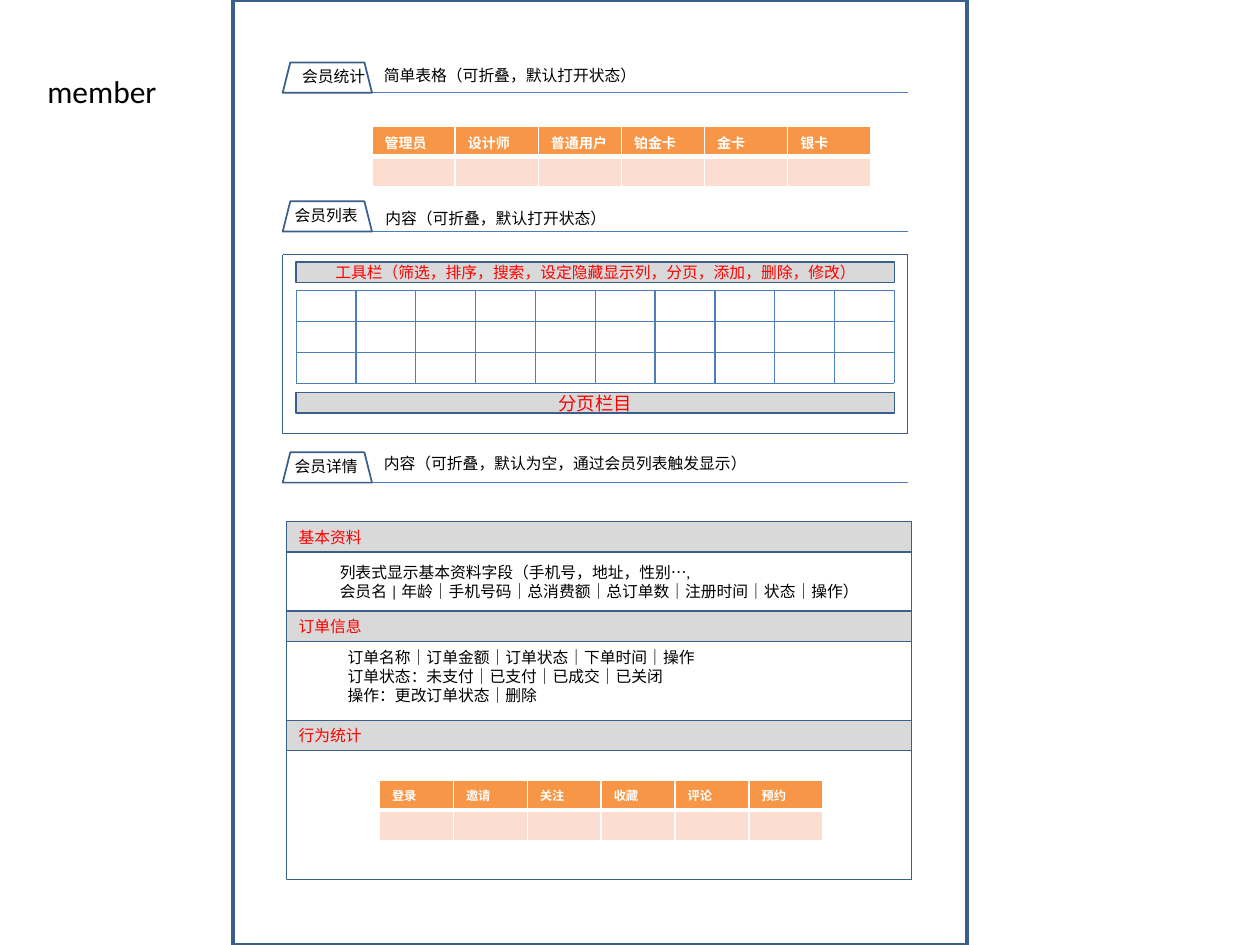
from lxml.etree import SubElement
from pptx import Presentation
from pptx.dml.color import RGBColor
from pptx.enum.dml import MSO_LINE
from pptx.enum.shapes import MSO_CONNECTOR, MSO_SHAPE
from pptx.enum.text import MSO_ANCHOR, PP_ALIGN
from pptx.oxml.ns import qn
from pptx.util import Cm, Pt

# Content; lengths are centimetres
TITLE = "member"
# tab label, label left, baseline y, note, note left, note top, note width
HEADINGS = [
    ("会员统计", 5.84, 1.87, "简单表格（可折叠，默认打开状态）", 7.49, 1.2, 6.4),
    ("会员列表", 5.69, 4.67, "内容（可折叠，默认打开状态）", 7.52, 4.09, 5.1),
    ("会员详情", 5.69, 9.73, "内容（可折叠，默认为空，通过会员列表触发显示）", 7.49, 9.02, 8.4),
]
# headers, left, top, width, text size
STATISTICS = [
    (["管理员", "设计师", "普通用户", "铂金卡", "金卡", "银卡"], 7.5, 2.54, 10.06, 8),
    (["登录", "邀请", "关注", "收藏", "评论", "预约"], 7.65, 15.72, 8.94, 7),
]
# text, top, size
LIST_BARS = [
    ("工具栏（筛选，排序，搜索，设定隐藏显示列，分页，添加，删除，修改）", 5.28, 9),
    ("分页栏目", 7.92, 10.5),
]
DETAIL_BARS = [("基本资料", 10.52), ("订单信息", 12.32), ("行为统计", 14.52)]
DETAIL_TEXTS = [
    (["列表式显示基本资料字段（手机号，地址，性别…,",
      "会员名 | 年龄｜手机号码｜总消费额｜总订单数｜注册时间｜状态｜操作）"],
     6.6, 11.22, 11.7, 1.02),
    (["订单名称｜订单金额｜订单状态｜下单时间｜操作",
      "订单状态：未支付｜已支付｜已成交｜已关闭",
      "操作：更改订单状态｜删除"], 6.76, 12.93, 11.25, 1.42),
]
LEFT, WIDTH, BAND = 5.7, 12.6, 0.61
TAB_WIDTH = 1.8
GRID_LEFT, GRID_TOP, GRID_WIDTH, GRID_HEIGHT = 5.97, 5.85, 12.06, 1.88
GRID_COLUMNS, GRID_ROWS = 10, 3
DETAIL_LEFT = 5.77
OUTLINE, RULE, GREY, RED, BLACK = "3A5F8C", "4B7EBC", "D9D9D9", "FF0000", "000000"
ORANGE, PINK, WHITE = "F79646", "FCDDCF", "FFFFFF"


def rgb(value):
    return RGBColor.from_string(value)


def write(frame, lines, size, color=BLACK, align=PP_ALIGN.LEFT, bold=False):
    frame.text = "\n".join(lines)
    for paragraph in frame.paragraphs:
        paragraph.alignment = align
        for run in paragraph.runs:
            run.font.color.rgb = rgb(color)
            for key, value in {"name": "Calibri", "size": Pt(size), "bold": bold}.items():
                setattr(run.font, key, value)


def add_outline(kind, left, top, width, height, weight, fill=None, dash=None):
    outline = slide.shapes.add_shape(kind, Cm(left), Cm(top), Cm(width), Cm(height))
    outline.shadow.inherit = False
    if fill:
        outline.fill.solid()
        outline.fill.fore_color.rgb = rgb(fill)
    else:
        outline.fill.background()
    outline.line.color.rgb = rgb(OUTLINE)
    outline.line.width = Pt(weight)
    if dash:
        outline.line.dash_style = dash
    return outline


def add_bar(text, left, top, width, height, size, align):
    bar = add_outline(MSO_SHAPE.RECTANGLE, left, top, width, height, 0.75, GREY)
    bar.text_frame.vertical_anchor = MSO_ANCHOR.MIDDLE
    write(bar.text_frame, [text], size, RED, align)


def add_rule(x1, y1, x2, y2):
    rule = slide.shapes.add_connector(MSO_CONNECTOR.STRAIGHT, Cm(x1), Cm(y1), Cm(x2), Cm(y2))
    rule.line.color.rgb = rgb(RULE)
    rule.line.width = Pt(0.75)
    SubElement(rule._element.spPr, qn("a:effectLst"))


def add_text(lines, left, top, width, height=0.64):
    frame = slide.shapes.add_textbox(Cm(left), Cm(top), Cm(width), Cm(height)).text_frame
    frame.word_wrap = True
    write(frame, lines, 9)


def add_border(cell, side, weight):
    border = SubElement(cell._tc.get_or_add_tcPr(), qn(side), w=str(Pt(weight)))
    SubElement(SubElement(border, qn("a:solidFill")), qn("a:srgbClr"), val=WHITE)


def add_statistics(headers, left, top, width, size):
    table = slide.shapes.add_table(2, len(headers), Cm(left), Cm(top),
                                   Cm(width), Cm(2 * BAND)).table
    for column, header in enumerate(headers):
        rows = [(header, ORANGE, "a:lnB"), ("", PINK, "a:lnT")]
        for row, (text, fill, divider) in enumerate(rows):
            cell = table.cell(row, column)
            add_border(cell, divider, 3)
            cell.fill.solid()
            cell.fill.fore_color.rgb = rgb(fill)
            write(cell.text_frame, [text], size, WHITE, bold=True)
            # Keeps the empty row as low as the header row
            SubElement(cell.text_frame.paragraphs[0]._p, qn("a:endParaRPr"), sz=str(size * 100))


presentation = Presentation()
presentation.slide_width, presentation.slide_height = Cm(25.4), Cm(19.05)
slide = presentation.slides.add_slide(presentation.slide_layouts[5])

# Title and page frame
title = slide.shapes.title
for key, value in {"left": 0.7, "top": 1.32, "width": 2.74, "height": 1.02}.items():
    setattr(title, key, Cm(value))
title.text_frame.word_wrap = False
title.text_frame.vertical_anchor = MSO_ANCHOR.TOP
write(title.text_frame, [TITLE], 18)
add_outline(MSO_SHAPE.RECTANGLE, 4.7, 0, 14.8, 19.05, 2)

# Tabbed headings
for label, label_left, baseline, note, note_left, note_top, note_width in HEADINGS:
    add_rule(LEFT, baseline, LEFT + WIDTH, baseline)
    add_outline(MSO_SHAPE.TRAPEZOID, LEFT, baseline - BAND, TAB_WIDTH, BAND, 1)
    add_text([label], label_left, baseline - 0.65, TAB_WIDTH)
    add_text([note], note_left, note_top, note_width)

# Member list: box, empty grid, bars
add_outline(MSO_SHAPE.RECTANGLE, LEFT, 5.13, WIDTH, 3.6, 0.25, dash=MSO_LINE.ROUND_DOT)
for row in range(GRID_ROWS + 1):
    y = GRID_TOP + row * GRID_HEIGHT / GRID_ROWS
    add_rule(GRID_LEFT, y, GRID_LEFT + GRID_WIDTH, y)
for column in range(GRID_COLUMNS + 1):
    x = GRID_LEFT + column * GRID_WIDTH / GRID_COLUMNS
    add_rule(x, GRID_TOP, x, GRID_TOP + GRID_HEIGHT)
for text, top, size in LIST_BARS:
    add_bar(text, GRID_LEFT, top, GRID_WIDTH, 0.41, size, PP_ALIGN.CENTER)

# Member details: box, section bars, texts
add_outline(MSO_SHAPE.RECTANGLE, DETAIL_LEFT, 10.52, WIDTH, 7.2, 0.25, dash=MSO_LINE.ROUND_DOT)
for text, top in DETAIL_BARS:
    add_bar(text, DETAIL_LEFT, top, WIDTH, BAND, 9, PP_ALIGN.LEFT)
for detail in DETAIL_TEXTS:
    add_text(*detail)

# Statistics tables
for statistics in STATISTICS:
    add_statistics(*statistics)

presentation.save("out.pptx")
